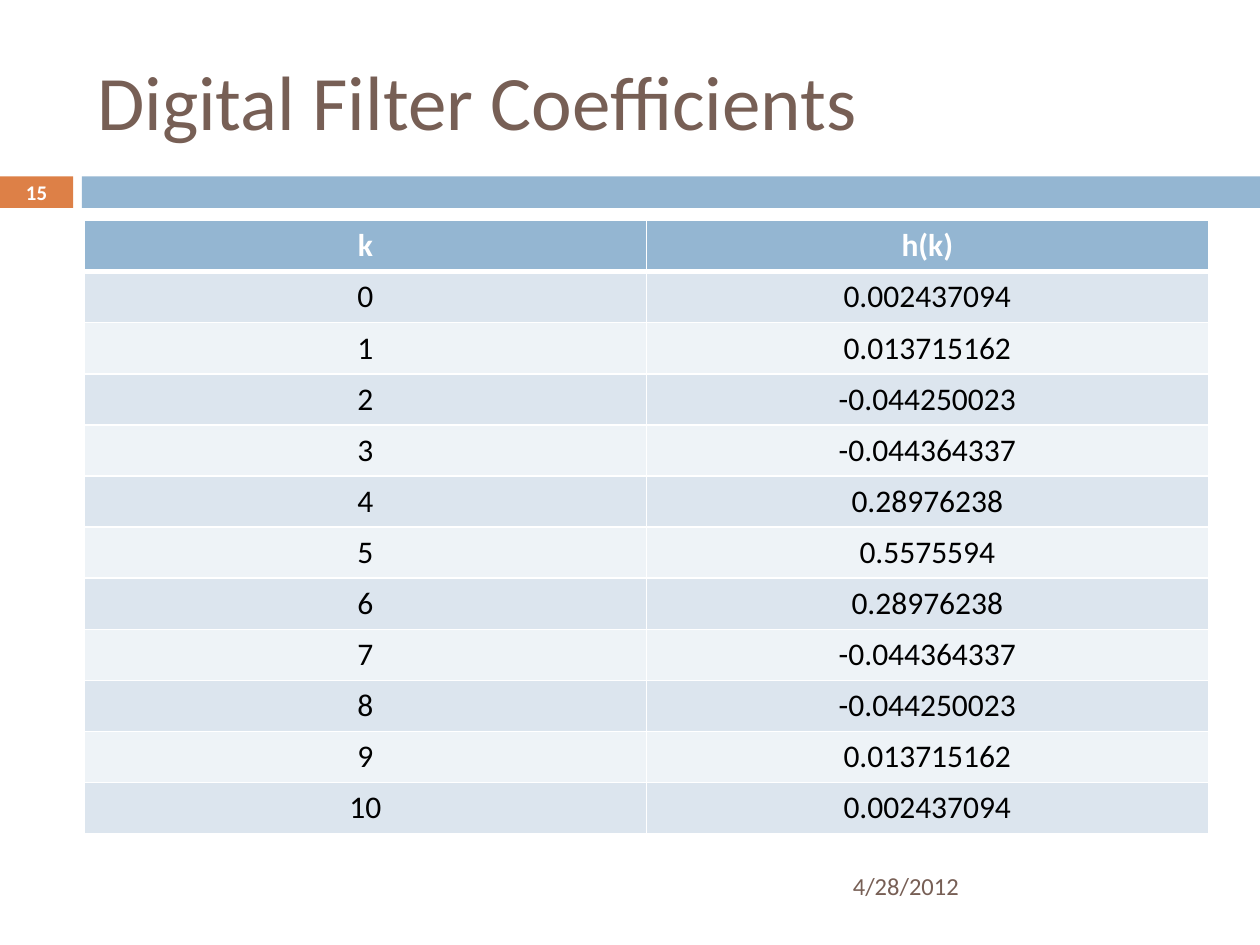
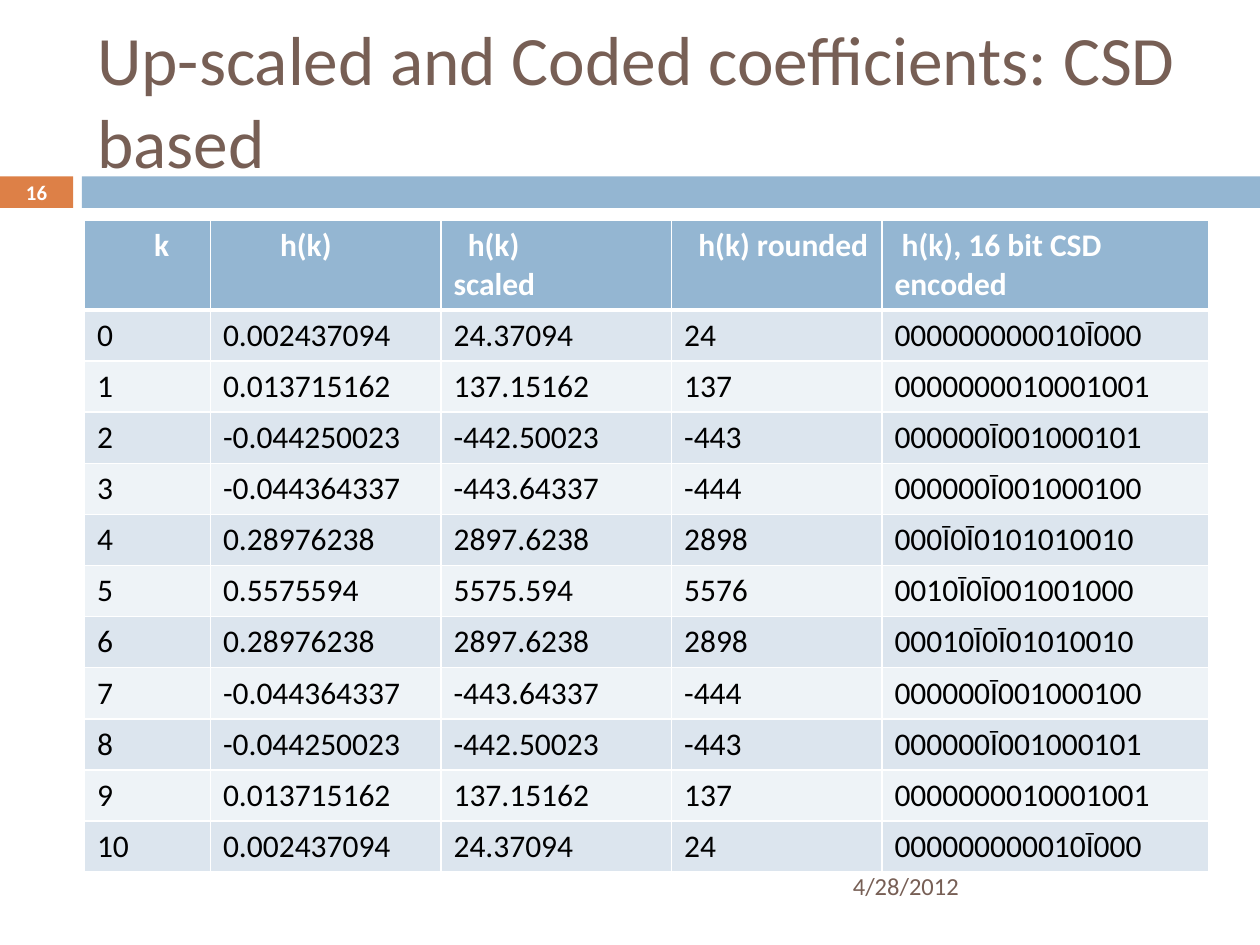
"""Build two slides that tabulate the coefficients of a digital filter."""
from dataclasses import dataclass

from lxml import etree
from pptx import Presentation
from pptx.dml.color import RGBColor
from pptx.enum import shapes, text
from pptx.oxml import ns
from pptx.util import Pt

FONT = "Calibri"
BROWN = RGBColor(0x77, 0x5F, 0x55)
ORANGE = RGBColor(0xDD, 0x80, 0x47)
BLUE = RGBColor(0x94, 0xB6, 0xD2)
DARK_STRIPE = RGBColor(0xDC, 0xE5, 0xEE)
LIGHT_STRIPE = RGBColor(0xEE, 0xF3, 0xF7)
WHITE = RGBColor(0xFF, 0xFF, 0xFF)
BLACK = RGBColor(0, 0, 0)

LEFT, CONTENT_WIDTH = 48.24, 642.24
TABLE_TOP, ROW_HEIGHT = 126, 29.2
DATE = "4/28/2012"

FIRST_HALF = ["0.002437094", "0.013715162", "-0.044250023", "-0.044364337", "0.28976238"]
COEFFICIENTS = FIRST_HALF + ["0.5575594"] + FIRST_HALF[::-1]
CSD_CODES = [
    "000000000010Ῑ000", "0000000010001001", "000000Ῑ001000101", "000000Ῑ001000100",
    "000Ῑ0Ῑ0101010010", "0010Ῑ0Ῑ001001000", "00010Ῑ0Ῑ01010010", "000000Ῑ001000100",
    "000000Ῑ001000101", "0000000010001001", "000000000010Ῑ000",
]


@dataclass(frozen=True)
class Box:
    """A rectangle in points."""

    left: float
    top: float
    width: float
    height: float

    def lengths(self) -> list[Pt]:
        """Return the four lengths in the order python-pptx expects."""
        return [Pt(value) for value in (self.left, self.top, self.width, self.height)]


@dataclass(frozen=True)
class Band:
    """A filled rectangle under the title."""

    box: Box
    color: RGBColor


@dataclass(frozen=True)
class Column:
    """A table column with its heading, first-line indent and optional tab stop."""

    heading: str
    width: float
    indent: float = 0
    tab: float = 0


@dataclass(frozen=True)
class TableSlide:
    """The content of one slide."""

    number: int
    title: str
    title_size: float
    columns: list[Column]
    rows: list[tuple]
    header_height: float
    alignment: text.PP_ALIGN


TITLE_BOX = Box(LEFT, 18, CONTENT_WIDTH, 77.76)
DATE_BOX = Box(480.24, 491.76, 210.24, 28.8)
NUMBER_BOX = Box(0, 100.08, 41.76, 19.44)
BANDS = [
    Band(Box(0, 100.8, 41.76, 18), ORANGE),
    Band(Box(46.8, 100.8, 673.2, 18), BLUE),
]


def write_text(frame, content: str, *, size: float, color: RGBColor, bold: bool = False,
               alignment=text.PP_ALIGN.LEFT):
    """Write one formatted paragraph and return it."""
    paragraph = frame.paragraphs[0]
    paragraph.alignment = alignment
    run = paragraph.add_run()
    run.text = content
    run.font.name, run.font.size = FONT, Pt(size)
    run.font.bold, run.font.color.rgb = bold, color
    return paragraph


def add_label(slide, box: Box, content: str, inset: float, **style) -> None:
    """Add a vertically centred text box."""
    frame = slide.shapes.add_textbox(*box.lengths()).text_frame
    frame.word_wrap = True
    frame.vertical_anchor = text.MSO_ANCHOR.MIDDLE
    frame.margin_left = frame.margin_right = Pt(inset)
    frame.margin_top = frame.margin_bottom = 0
    write_text(frame, content, **style)


def add_band(slide, band: Band) -> None:
    """Add a plain filled rectangle."""
    shape = slide.shapes.add_shape(shapes.MSO_SHAPE.RECTANGLE, *band.box.lengths())
    shape.shadow.inherit = False
    shape.fill.solid()
    shape.fill.fore_color.rgb = band.color
    shape.line.fill.background()


def add_borders(cell, top: float, bottom: float) -> None:
    """Draw white borders around a cell."""
    properties = cell._tc.get_or_add_tcPr()
    for side, width in {"L": 1, "R": 1, "T": top, "B": bottom}.items():
        line = etree.SubElement(properties, ns.qn(f"a:ln{side}"), w=str(Pt(width)))
        fill = etree.SubElement(line, ns.qn("a:solidFill"))
        etree.SubElement(fill, ns.qn("a:srgbClr"), val=str(WHITE))


def indent_heading(paragraph, column: Column) -> None:
    """Indent the first line of a heading and set its tab stop."""
    properties = paragraph._p.get_or_add_pPr()
    properties.set("marL", "0")
    properties.set("indent", str(Pt(column.indent)))
    if column.tab:
        stops = etree.SubElement(properties, ns.qn("a:tabLst"))
        etree.SubElement(stops, ns.qn("a:tab"), pos=str(Pt(column.tab)), algn="l")


def add_data_table(slide, content: TableSlide) -> None:
    """Add the striped table with its header row."""
    rows = [tuple(column.heading for column in content.columns), *content.rows]
    height = content.header_height + ROW_HEIGHT * len(content.rows)
    box = Box(LEFT, TABLE_TOP, CONTENT_WIDTH, height)
    table = slide.shapes.add_table(len(rows), len(content.columns), *box.lengths()).table
    for index, column in enumerate(content.columns):
        table.columns[index].width = Pt(column.width)
    for row_index, values in enumerate(rows):
        header = row_index == 0
        table.rows[row_index].height = Pt(content.header_height if header else ROW_HEIGHT)
        stripe = DARK_STRIPE if row_index % 2 else LIGHT_STRIPE
        for column_index, value in enumerate(values):
            cell = table.cell(row_index, column_index)
            add_borders(cell, top=3 if row_index == 1 else 1, bottom=3 if header else 1)
            cell.fill.solid()
            cell.fill.fore_color.rgb = BLUE if header else stripe
            paragraph = write_text(cell.text_frame, value, size=18, bold=header,
                                   color=WHITE if header else BLACK,
                                   alignment=content.alignment)
            if header:
                indent_heading(paragraph, content.columns[column_index])


def add_slide(presentation, content: TableSlide) -> None:
    """Add a slide with bands, title, table, date and number."""
    slide = presentation.slides.add_slide(presentation.slide_layouts[5])
    for band in BANDS:
        add_band(slide, band)
    title = slide.shapes.title
    title.left, title.top, title.width, title.height = TITLE_BOX.lengths()
    title.text_frame.auto_size = text.MSO_AUTO_SIZE.NONE
    title.text_frame.vertical_anchor = text.MSO_ANCHOR.MIDDLE
    write_text(title.text_frame, content.title, size=content.title_size, color=BROWN)
    add_data_table(slide, content)
    add_label(slide, DATE_BOX, DATE, 7.2, size=14, color=BROWN)
    add_label(slide, NUMBER_BOX, str(content.number), 0, size=11.9, color=WHITE, bold=True,
              alignment=text.PP_ALIGN.CENTER)


def coded_rows() -> list[tuple]:
    """Scale and round each coefficient and pair it with its code."""
    rows = []
    for k, (coefficient, code) in enumerate(zip(COEFFICIENTS, CSD_CODES)):
        scaled = float(coefficient) * 10000
        rows.append((str(k), coefficient, f"{scaled:.8g}", str(round(scaled)), code))
    return rows


def main() -> None:
    """Build and save the presentation."""
    presentation = Presentation()
    presentation.slide_width, presentation.slide_height = Pt(720), Pt(540)
    add_slide(presentation, TableSlide(
        number=15, title="Digital Filter Coefficients", title_size=44,
        columns=[Column("k", CONTENT_WIDTH / 2), Column("h(k)", CONTENT_WIDTH / 2)],
        rows=[(str(k), coefficient) for k, coefficient in enumerate(COEFFICIENTS)],
        header_height=ROW_HEIGHT, alignment=text.PP_ALIGN.CENTER))
    add_slide(presentation, TableSlide(
        number=16, title="Up-scaled and Coded coefficients: CSD based", title_size=39.6,
        columns=[
            Column("k", 72, indent=32.6),
            Column("h(k)", 131.76, indent=32.6),
            Column("h(k)\tscaled", 131.76, indent=8.1, tab=49.7),
            Column("h(k) rounded", 120.24, indent=8.1),
            Column("h(k), 16 bit CSD encoded", 186.48, indent=4.1),
        ],
        rows=coded_rows(), header_height=51, alignment=text.PP_ALIGN.LEFT))
    presentation.save("out.pptx")


if __name__ == "__main__":
    main()
